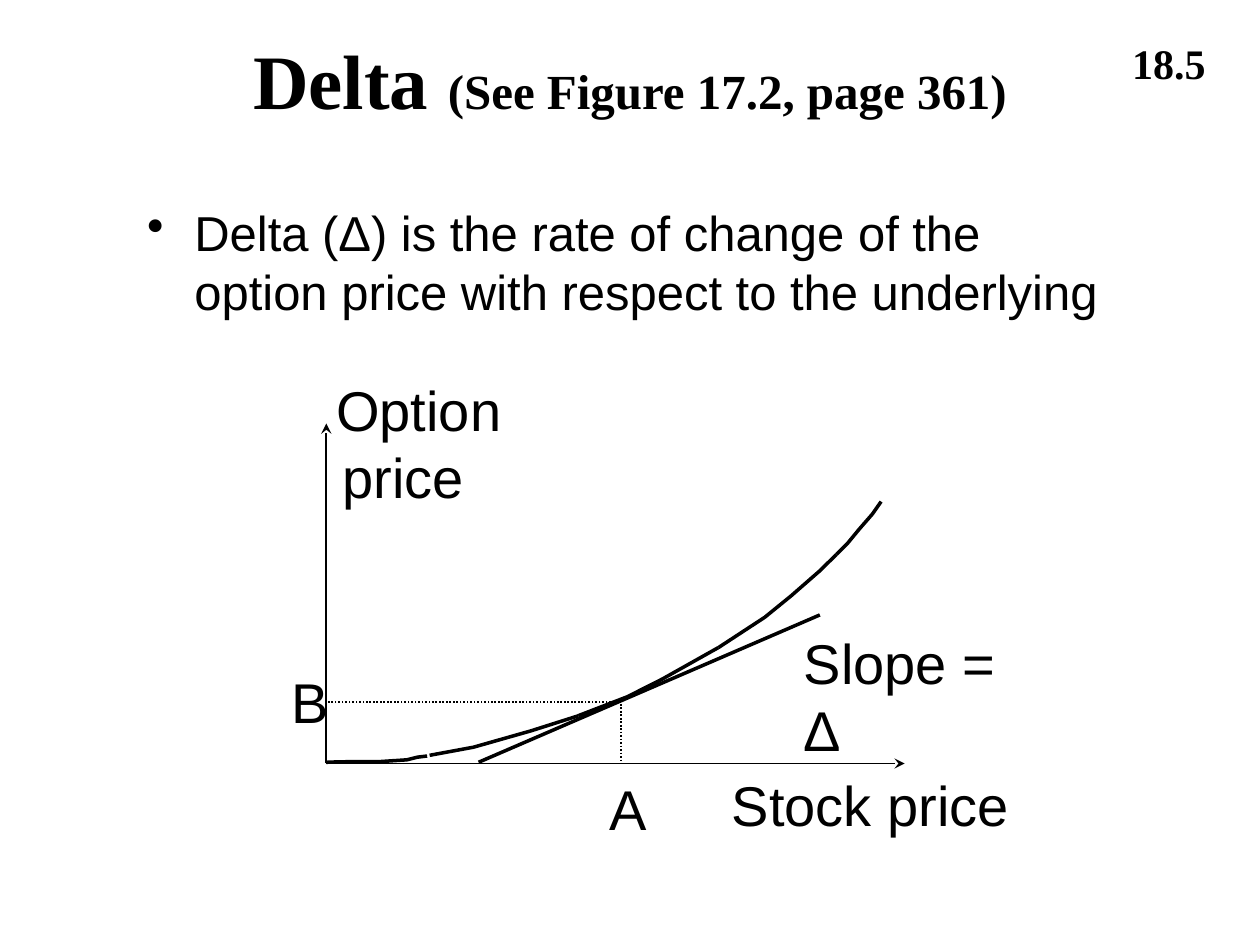
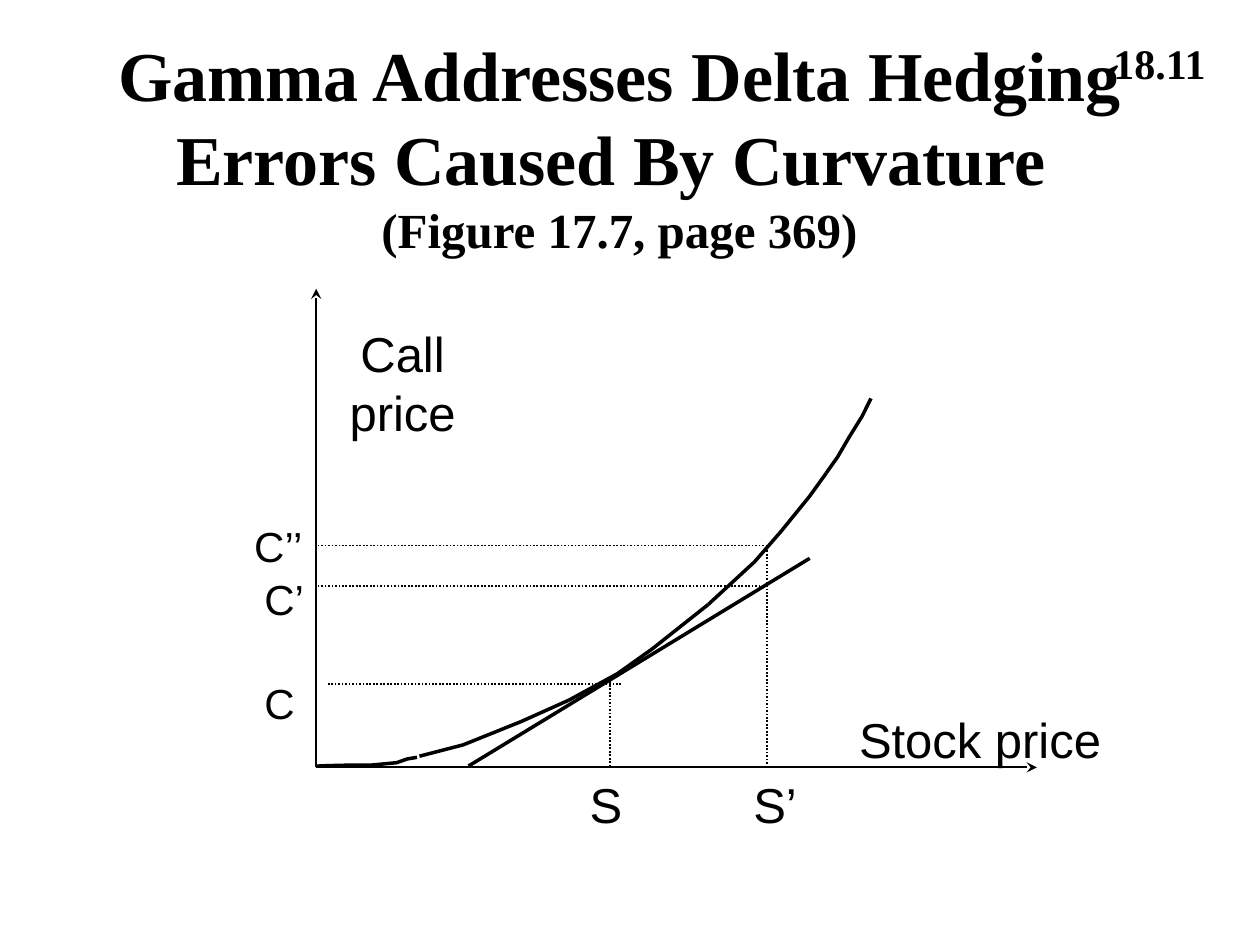
from lxml import etree
from pptx import Presentation
from pptx.dml.color import RGBColor
from pptx.enum import dml, shapes, text
from pptx.oxml.ns import qn
from pptx.util import Pt

BLACK = RGBColor(0, 0, 0)
WHITE = RGBColor(255, 255, 255)
SERIF, SANS = "Times New Roman", "Arial"
LEFT, CENTER, RIGHT = text.PP_ALIGN.LEFT, text.PP_ALIGN.CENTER, text.PP_ALIGN.RIGHT

CURVE = [
    [(0, 0), (6, 0.2), (18, 0.4), (31, 0.4), (46, 1.4), (52, 2.9), (57.6, 3.6)],
    [(59, 4), (84, 8.6), (117, 18), (144, 26.6)],
    [(144, 26.6), (172, 37.4), (192, 47.5), (224, 65.5)],
    [(224, 65.5), (250.5, 82.8), (265.5, 95), (282, 109.4), (291.5, 118.8)],
    [(291.5, 118.8), (298, 125.3), (304.5, 133.2), (312, 141.8), (317, 149)],
]
TANGENT = [(87, 0), (282, 84.2)]


class Deck:
    """Holds the shared style and draws elements on the current slide."""

    def __init__(self):
        self.prs = Presentation()
        self.prs.slide_width, self.prs.slide_height = Pt(720), Pt(540)

    def new_slide(self, number):
        self.s = self.prs.slides.add_slide(self.prs.slide_layouts[6])
        self.s.background.fill.solid()
        self.s.background.fill.fore_color.rgb = WHITE
        self.label(540, 18, 156, 36, number, 24, RIGHT, SERIF, True)

    def style(self, p, size, font, bold):
        for r in p.runs:
            r.font.size, r.font.name, r.font.bold = Pt(size), font, bold
            r.font.color.rgb = BLACK

    def label(self, x, y, w, h, words, size, align=LEFT, font=SANS, bold=False):
        tf = self.s.shapes.add_textbox(Pt(x), Pt(y), Pt(w), Pt(h)).text_frame
        tf.word_wrap = True
        tf.text = words
        for p in tf.paragraphs:
            p.alignment = align
            self.style(p, size, font, bold)
        return tf

    def title(self, x, y, w, h, words, size, note):
        tf = self.label(x, y, w, h, words, size, CENTER, SERIF, True)
        tf.vertical_anchor = text.MSO_ANCHOR.MIDDLE
        r = tf.paragraphs[0].add_run()
        r.text = note
        self.style(tf.paragraphs[0], size, SERIF, True)
        r.font.size = Pt(28)

    def bullet(self, x, y, w, h, words):
        tf = self.label(x, y, w, h, words, 28)
        pPr = tf.paragraphs[0]._p.get_or_add_pPr()
        pPr.set("marL", str(Pt(27)))
        pPr.set("indent", str(-Pt(27)))
        etree.SubElement(pPr, qn("a:buChar")).set("char", "•")

    def line(self, x1, y1, x2, y2, dotted=False):
        sp = self.s.shapes.add_connector(
            shapes.MSO_CONNECTOR.STRAIGHT, Pt(x1), Pt(y1), Pt(x2), Pt(y2))
        sp.line.color.rgb, sp.line.width = BLACK, Pt(1)
        if dotted:
            sp.line.dash_style = dml.MSO_LINE.ROUND_DOT
        else:
            etree.SubElement(sp.line._get_or_add_ln(), qn("a:tailEnd")).set("type", "stealth")
        etree.SubElement(sp._element.spPr, qn("a:effectLst"))

    def outline(self, points):
        fb = self.s.shapes.build_freeform(*points[0], scale=1)
        fb.add_line_segments(points[1:], close=False)
        sp = fb.convert_to_shape()
        sp.fill.background()
        sp.line.color.rgb, sp.line.width = BLACK, Pt(2)
        sp.shadow.inherit = False

    def price_graph(self, x, y, top, right, stretch, guides):
        self.line(x, y, x, top)
        self.line(x, y, right, y)
        for points in CURVE + [TANGENT]:
            self.outline([(Pt(x + dx), Pt(y - 0.7 - dy * stretch)) for dx, dy in points])
        for guide in guides:
            self.line(*guide, dotted=True)


def delta_slide(deck):
    deck.new_slide("18.5")
    deck.title(54, 0, 612, 90, "Delta ", 44, "(See Figure 17.2, page 361)")
    deck.bullet(77, 112.3, 571, 142.5, "Delta (Δ) is the rate of change of the "
                "option price with respect to the underlying")
    tf = deck.label(167, 211, 126.7, 84, "Option\nprice", 32, CENTER)
    tf.paragraphs[0]._p.get_or_add_pPr().set("marL", str(Pt(18)))
    deck.price_graph(186.5, 436.3, 242, 517, 1, [
        (355, 400.3, 355, 436.3), (355, 401, 186.5, 401)])
    for x, y, w, h, words in [(341.3, 439.2, 36, 45, "A"), (159.3, 378, 36, 45, "B"),
                              (452.2, 355.7, 150, 84, "Slope = Δ"),
                              (411.1, 437, 180, 45, "Stock price")]:
        deck.label(x, y, w, h, words, 32)


def gamma_slide(deck):
    deck.new_slide("18.11")
    deck.title(36, 38, 636, 90, "Gamma Addresses Delta Hedging Errors Caused By Curvature \v",
               40, "(Figure 17.7, page 369)")
    deck.price_graph(180.7, 438.5, 165, 592.5, 1.41, [
        (348.5, 387.4, 348.5, 438.5), (355, 391, 186.5, 391),
        (438.5, 438.5, 438.5, 312.5), (438.5, 334.8, 180.7, 334.8),
        (438.5, 311.8, 180.7, 311.8)])
    deck.label(190.8, 181.4, 78.5, 75, "Call\nprice", 28, CENTER)
    for x, y, w, h, words, size in [
            (329.8, 439.2, 36, 41, "S", 28), (423.4, 439.2, 40, 41, "S’", 28),
            (483.8, 401.8, 162, 41, "Stock price", 28), (144, 383.8, 36, 36, "C", 24),
            (144, 324, 44.6, 36, "C’", 24), (138.2, 293.8, 48.2, 36, "C’’", 24)]:
        deck.label(x, y, w, h, words, size)


def main():
    deck = Deck()
    delta_slide(deck)
    gamma_slide(deck)
    deck.prs.save("out.pptx")


if __name__ == "__main__":
    main()
